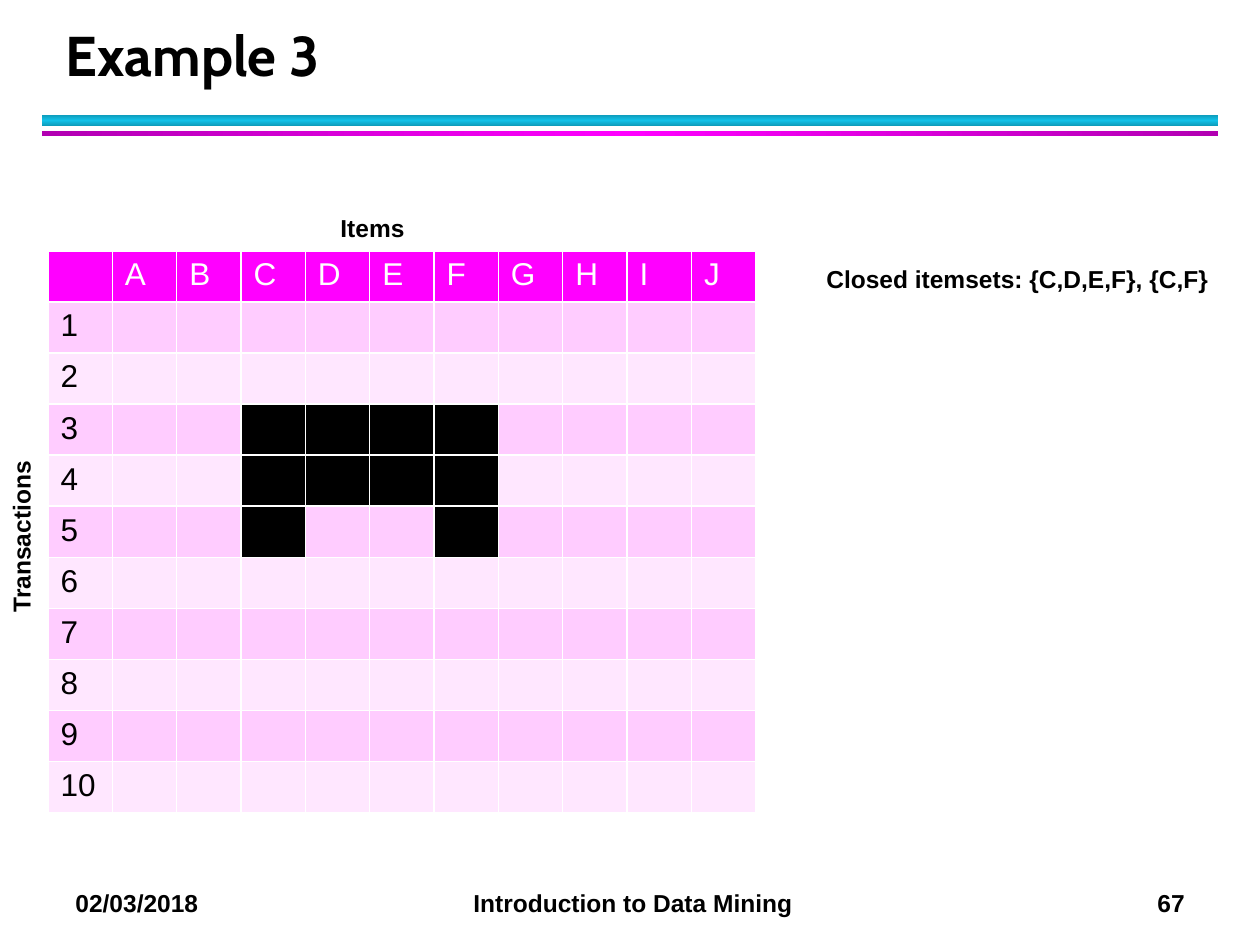
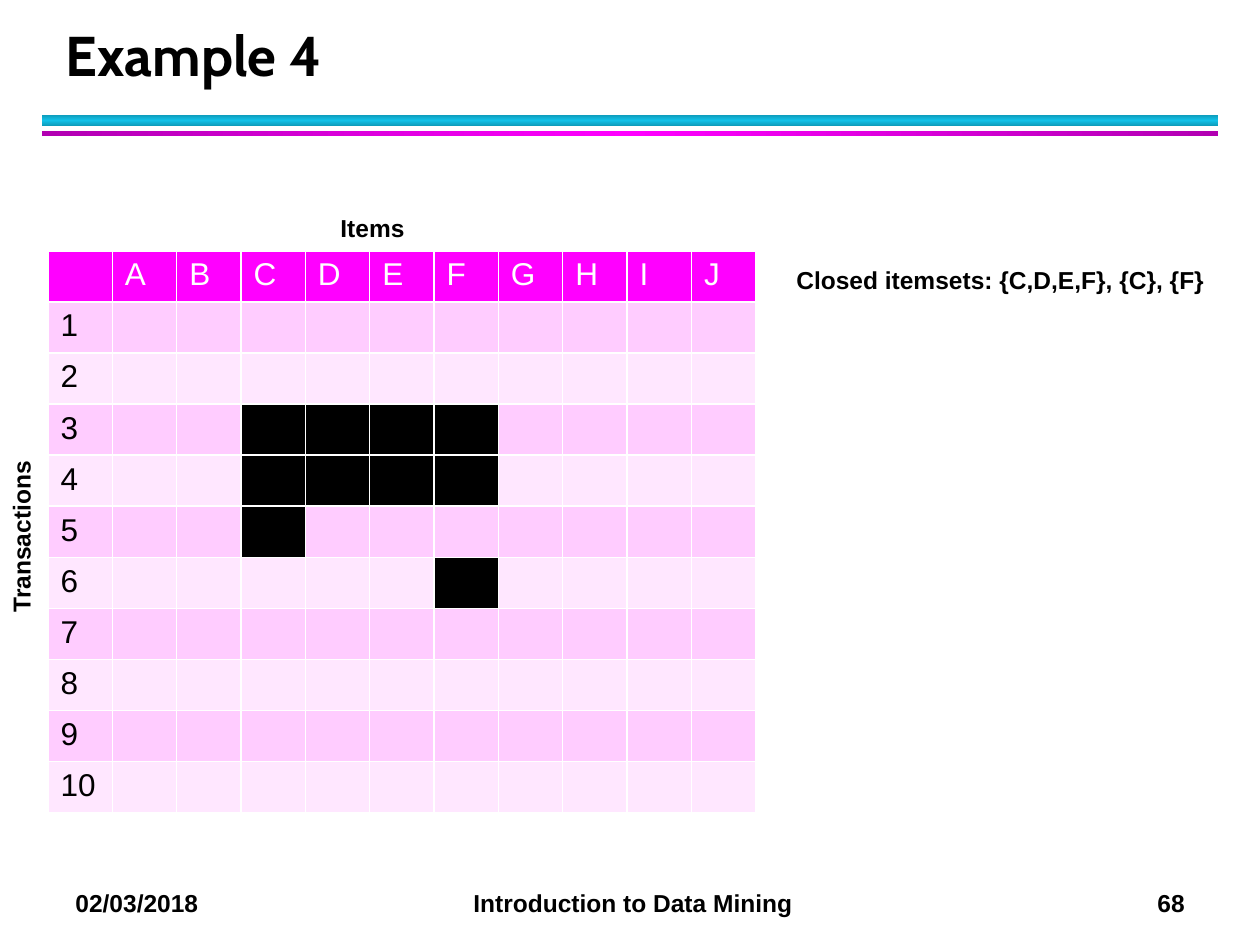
"""Two slides of transaction tables that show closed itemsets."""
from pptx import Presentation
from pptx.dml.color import RGBColor
from pptx.enum.shapes import MSO_SHAPE
from pptx.enum.text import MSO_ANCHOR, MSO_AUTO_SIZE, PP_ALIGN
from pptx.oxml import parse_xml
from pptx.oxml.ns import nsdecls, qn
from pptx.util import Pt

RECT = MSO_SHAPE.RECTANGLE
BOTTOM, LEFT = MSO_ANCHOR.BOTTOM, PP_ALIGN.LEFT
FIT, FIXED = MSO_AUTO_SIZE.SHAPE_TO_FIT_TEXT, MSO_AUTO_SIZE.NONE

SLIDES = [
    {"title": "Example 3", "page": "67",
     "filled": {"3": "CDEF", "4": "CDEF", "5": "CF"},
     "note": "Closed itemsets: {C,D,E,F}, {C,F}", "note_box": (814, 258, 428, 50)},
    {"title": "Example 4", "page": "68",
     "filled": {"3": "CDEF", "4": "CDEF", "5": "C", "6": "F"},
     "note": "Closed itemsets: {C,D,E,F}, {C}, {F}", "note_box": (784, 259, 456, 50)},
]
ITEMS = "ABCDEFGHIJ"
TRANSACTIONS = [str(n) for n in range(1, 11)]
AXIS_LABELS = [("Items", (328, 207, 97, 50), 0),
               ("Transactions", (-68, 507, 186, 50), 270)]
FOOTER = ("02/03/2018", "Introduction to Data Mining")
FOOTER_TABS = (398, 1082)
BANDS = [((42, 115, 1176, 11), "0E9BBA", "12C2E9", 90),
         ((42, 131, 1176, 5), "B200B2", "FF00FF", 0)]

BLACK, WHITE, HEADER = "000000", "FFFFFF", "FF00FF"
STRIPES = ("FFCCFF", "FFE7FF")
BODY_FONT, TITLE_FONT = "Arial", "Cabin"
TITLE_BOX = (53, 21, 1142, 73)
TABLE_BOX = (48, 251, 708, 562)
FOOTER_BOX = (63, 882, 1176, 43)
EMU_PER_PX = 914400 / 126


def px(n):
    return round(n * EMU_PER_PX)


def place(box):
    return [px(n) for n in box]


def rgb(color):
    return RGBColor.from_string(color)


def style(p, size, color=BLACK, bold=True, name=BODY_FONT):
    p.font.name, p.font.size, p.font.bold = name, Pt(size), bold
    p.font.color.rgb = rgb(color)


def add_band(s, box, edge, middle, angle):
    sp = s.shapes.add_shape(RECT, *place(box))
    sp.shadow.inherit = False
    sp.line.fill.background()
    stops = "".join(f'<a:gs pos="{pos}"><a:srgbClr val="{color}"/></a:gs>'
                    for pos, color in ((0, edge), (50000, middle), (100000, edge)))
    sp._element.spPr.find(qn("a:prstGeom")).addnext(parse_xml(
        f'<a:gradFill {nsdecls("a")}><a:gsLst>{stops}</a:gsLst>'
        f'<a:lin ang="{angle * 60000}" scaled="0"/></a:gradFill>'))


def add_label(s, text, box, rotation=0, wrap=False):
    sp = s.shapes.add_textbox(*place(box))
    sp.rotation = rotation
    tf = sp.text_frame
    tf.word_wrap, tf.auto_size = wrap, FIT
    p = tf.paragraphs[0]
    p.text = text
    style(p, 14)
    return p


def add_footer(s, page):
    p = add_label(s, "\t".join((*FOOTER, page)), FOOTER_BOX, wrap=True)
    tabs = "".join(f'<a:tab pos="{px(x)}" algn="l"/>' for x in FOOTER_TABS)
    p._p.get_or_add_pPr().insert(
        0, parse_xml(f'<a:tabLst {nsdecls("a")}>{tabs}</a:tabLst>'))


def set_title(s, text):
    sp = s.shapes.title
    sp.left, sp.top, sp.width, sp.height = place(TITLE_BOX)
    tf = sp.text_frame
    tf.text, tf.vertical_anchor, tf.auto_size = text, BOTTOM, FIXED
    p = tf.paragraphs[0]
    p.alignment, p.line_spacing = LEFT, Pt(36)
    style(p, 32, name=TITLE_FONT)


def format_cell(cell, text, fill, color):
    tcPr = cell._tc.get_or_add_tcPr()
    for side in ("lnL", "lnR", "lnT", "lnB"):
        tcPr.append(parse_xml(
            f'<a:{side} {nsdecls("a")} w="12700"><a:solidFill>'
            f'<a:srgbClr val="{WHITE}"/></a:solidFill></a:{side}>'))
    cell.fill.solid()
    cell.fill.fore_color.rgb = rgb(fill)
    p = cell.text_frame.paragraphs[0]
    p.text = text
    style(p, 18, color, bold=False)


def add_grid(s, filled):
    rows, cols = ["", *TRANSACTIONS], ["", *ITEMS]
    left, top, width, height = place(TABLE_BOX)
    table = s.shapes.add_table(len(rows), len(cols), left, top, width, height).table
    for col in table.columns:
        col.width = width // len(cols)
    for row in table.rows:
        row.height = height // len(rows)
    for i, transaction in enumerate(rows):
        for j, item in enumerate(cols):
            if i == 0:
                text, fill, color = item, HEADER, WHITE
            else:
                marked = j > 0 and item in filled.get(transaction, "")
                text = "" if j else transaction
                fill = BLACK if marked else STRIPES[(i - 1) % 2]
                color = BLACK
            format_cell(table.cell(i, j), text, fill, color)


def main():
    prs = Presentation()
    prs.slide_width, prs.slide_height = px(1260), px(945)
    for content in SLIDES:
        s = prs.slides.add_slide(prs.slide_layouts[5])
        for band in BANDS:
            add_band(s, *band)
        add_footer(s, content["page"])
        set_title(s, content["title"])
        add_grid(s, content["filled"])
        for label in AXIS_LABELS:
            add_label(s, *label)
        add_label(s, content["note"], content["note_box"])
    prs.save("out.pptx")


if __name__ == "__main__":
    main()
